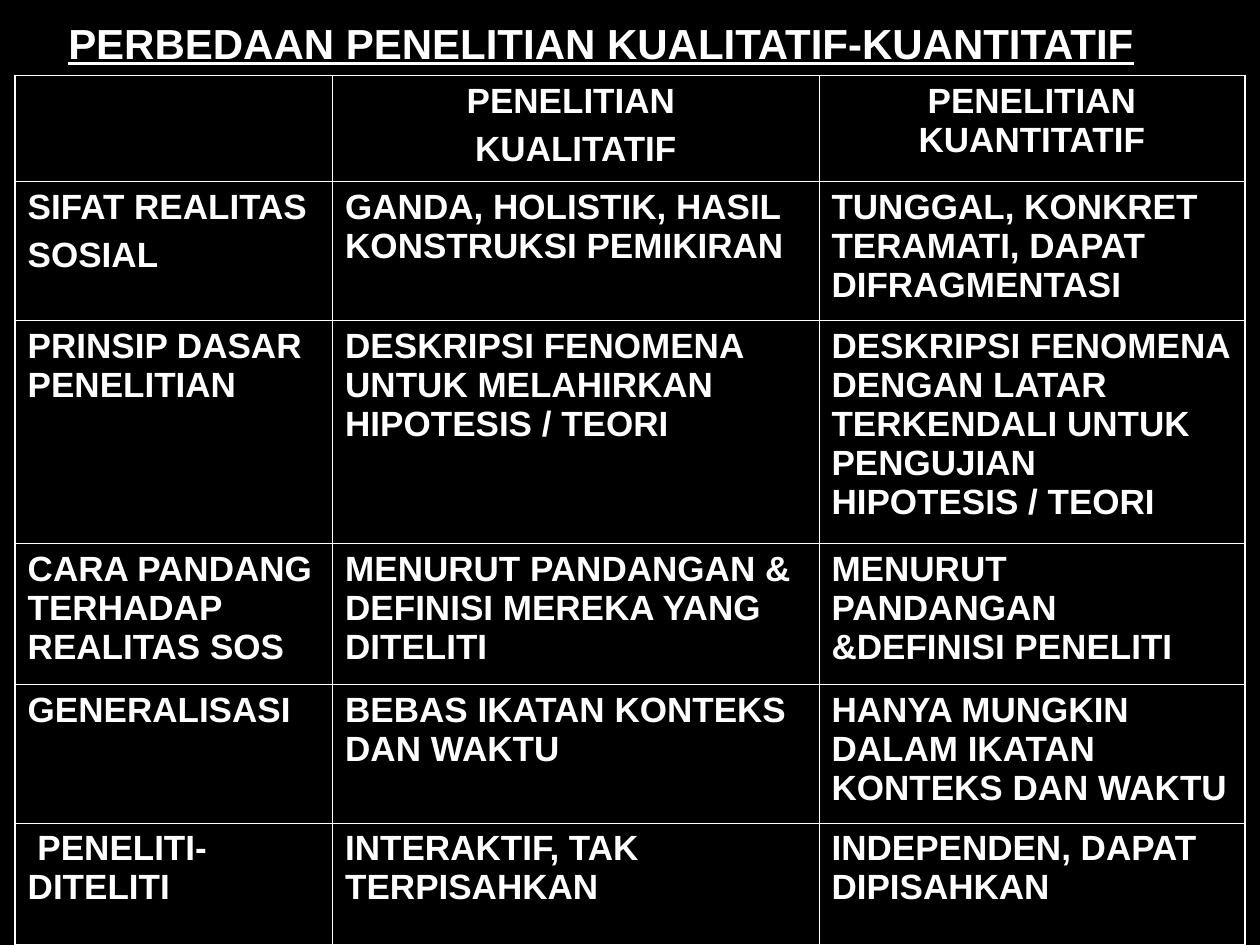
from lxml import etree
from pptx import Presentation
from pptx.dml.color import RGBColor
from pptx.enum.text import MSO_ANCHOR, PP_ALIGN
from pptx.oxml.ns import qn
from pptx.util import Inches, Pt

BLACK = RGBColor(0, 0, 0)
WHITE = RGBColor(255, 255, 255)
CENTER, LEFT = PP_ALIGN.CENTER, PP_ALIGN.LEFT
MIDDLE = MSO_ANCHOR.MIDDLE
THICK, THIN = Pt(1.08), Pt(0.45)

COLS = [2.52, 3.86, 3.38]
ROWS = [
    (0.84, ["", "PENELITIAN \nKUALITATIF", "PENELITIAN KUANTITATIF"]),
    (1.1, ["SIFAT REALITAS\nSOSIAL",
           "GANDA, HOLISTIK, HASIL KONSTRUKSI PEMIKIRAN",
           "TUNGGAL, KONKRET TERAMATI, DAPAT DIFRAGMENTASI"]),
    (1.77, ["PRINSIP DASAR PENELITIAN",
            "DESKRIPSI FENOMENA UNTUK MELAHIRKAN HIPOTESIS / TEORI",
            "DESKRIPSI FENOMENA DENGAN LATAR TERKENDALI UNTUK "
            "PENGUJIAN HIPOTESIS / TEORI"]),
    (1.12, ["CARA PANDANG TERHADAP REALITAS SOS",
            "MENURUT PANDANGAN & DEFINISI MEREKA YANG DITELITI",
            "MENURUT PANDANGAN &DEFINISI PENELITI"]),
    (1.1, ["GENERALISASI",
           "BEBAS IKATAN KONTEKS DAN WAKTU",
           "HANYA MUNGKIN DALAM IKATAN KONTEKS DAN WAKTU"]),
    (0.97, [" PENELITI-DITELITI",
            "INTERAKTIF, TAK TERPISAHKAN",
            "INDEPENDEN, DAPAT DIPISAHKAN"]),
]


class Deck:
    """Holds the text style and the current slide."""

    def __init__(self, slide, face="Arial", color=WHITE):
        self.slide, self.face, self.color = slide, face, color
        fill = slide.background.fill
        fill.solid()
        fill.fore_color.rgb = BLACK

    def text(self, frame, words, size, align, line=None):
        for i, part in enumerate(words.split("\n")):
            para = frame.add_paragraph() if i else frame.paragraphs[0]
            para.alignment = align
            para.space_before = Pt(5 if i else 0)
            para.font.size = Pt(size)
            if not part:
                continue
            run = para.add_run()
            run.text = part
            font = run.font
            font.name, font.size, font.bold = self.face, Pt(size), True
            font.underline = line
            font.color.rgb = self.color

    def title(self, words, x, y, w, h):
        box = self.slide.shapes.add_textbox(
            Inches(x), Inches(y), Inches(w), Inches(h))
        frame = box.text_frame
        frame.word_wrap = True
        frame.vertical_anchor = MIDDLE
        self.text(frame, words, 24, CENTER, True)

    def border(self, cell, sides):
        props = cell._tc.get_or_add_tcPr()
        for side, width in sides.items():
            line = etree.SubElement(props, qn("a:ln" + side), w=str(width))
            fill = etree.SubElement(line, qn("a:solidFill"))
            etree.SubElement(fill, qn("a:srgbClr"), val=str(self.color))

    def table(self, rows, cols, x, y):
        high = sum(height for height, _ in rows)
        grid = self.slide.shapes.add_table(
            len(rows), len(cols), Inches(x), Inches(y),
            Inches(sum(cols)), Inches(high)).table
        for col, width in zip(grid.columns, cols):
            col.width = Inches(width)
        for r, (height, cells) in enumerate(rows):
            grid.rows[r].height = Inches(height)
            for c, words in enumerate(cells):
                cell = grid.cell(r, c)
                self.border(cell, {
                    "L": THIN if c else THICK,
                    "R": THICK if c == len(cols) - 1 else THIN,
                    "T": THIN if r else THICK,
                    "B": THICK if r == len(rows) - 1 else THIN})
                cell.fill.background()
                self.text(cell.text_frame, words, 20, LEFT if r else CENTER)


def main():
    show = Presentation()
    show.slide_width, show.slide_height = Inches(10), Inches(7.5)
    deck = Deck(show.slides.add_slide(show.slide_layouts[6]))
    deck.title("PERBEDAAN PENELITIAN KUALITATIF-KUANTITATIF",
               0.27, 0.28, 9, 0.11)
    deck.table(ROWS, COLS, 0.12, 0.6)
    show.save("out.pptx")


if __name__ == "__main__":
    main()
